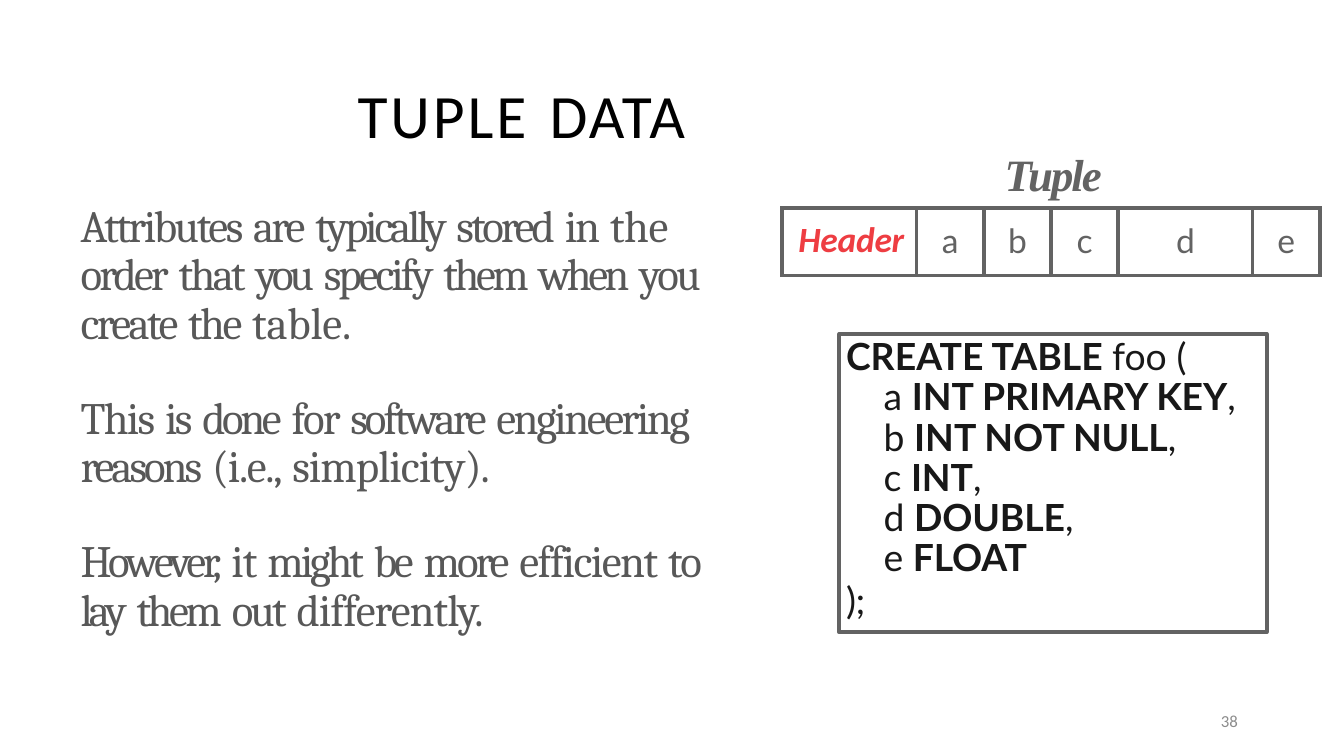
from lxml.etree import SubElement
from pptx import Presentation
from pptx.dml.color import RGBColor
from pptx.enum.shapes import MSO_SHAPE
from pptx.enum.text import MSO_ANCHOR, PP_ALIGN
from pptx.oxml.ns import qn
from pptx.util import Inches, Pt

COLORS = {"title": "000000", "body": "585858", "gray": "636363", "header": "EE3D42",
          "code": "181818", "number": "8C8C8C", "white": "FFFFFF"}
STYLES = {
    "title": {"font": "Calibri", "size": 33, "color": "title"},
    "body": {"font": "Cambria", "size": 24, "color": "body"},
    "caption": {"font": "Times New Roman", "size": 24, "color": "gray", "bold": True, "italic": True},
    "header": {"font": "Calibri", "size": 19, "color": "header", "bold": True, "italic": True},
    "attribute": {"font": "Lato", "size": 18, "color": "gray"},
    "code": {"font": "Lato", "size": 20, "color": "code"},
    "number": {"font": "Calibri", "size": 9, "color": "number"},
}
TITLE = [("TUPLE", 1.6), ("DATA", 1.2)]
BODY = [
    [("Attributes", -1.3), ("are", -1.5), ("typically", -1.7), ("stored", -1.6), ("in", -1.1),
     ("the", -0.2), ("order", -1.5), ("that", -1.4), ("you", -2.2), ("specify", -1.6),
     ("them", -1.8), ("when", -1.9), ("you", -1.4), ("create", -1.4), ("the", -1.3),
     ("table.", -0.1)],
    [("This", -0.9), ("is", -1.4), ("done", -1.8), ("for", -1), ("software", -1.6),
     ("engineering", -1.3), ("reasons", -1.6), ("(i.e.,", -0.7), ("simplicity).", -0.5)],
    [("However,", -1.9), ("it", -0.5), ("might", -1.6), ("be", -1.7), ("more", -1.6),
     ("efficient", -0.8), ("to", -1), ("lay", -2.1), ("them", -1.8), ("out", -1.5),
     ("differently.", -0.5)],
]
COLUMNS = [("a", "INT PRIMARY ", "KEY", ","), ("b", "INT NOT ", "NULL", ","),
           ("c", "", "INT", ","), ("d", "", "DOUBLE", ","), ("e", "", "FLOAT", "")]
TUPLE_CELLS = [("Header", 2), ("a", 1), ("b", 1), ("c", 1), ("d", 2), ("e", 1)]


def grid(*cells):
    """Turn counts of half-inch grid cells into lengths."""
    return [Inches(count * 0.5) for count in cells]


def color(name):
    """Look up a named colour."""
    return RGBColor.from_string(COLORS[name])


def join_words(words, gap=0):
    """Put a space run with its own letter spacing between words."""
    runs = [words[0]]
    for word in words[1:]:
        runs += [(" ", gap), word]
    return runs


def add_run(paragraph, style, text, spacing=0, bold=None):
    """Add one run with its style and letter spacing in points."""
    run = paragraph.add_run()
    run.text = text
    look = STYLES[style]
    run.font.name = look["font"]
    run.font.size = Pt(look["size"])
    run.font.bold = look.get("bold", False) if bold is None else bold
    run.font.italic = look.get("italic", False)
    run.font.color.rgb = color(look["color"])
    run.font._element.set("spc", str(round(spacing * 100)))


def add_paragraph(frame, style, runs, indent=0, leading=None, before=0, align=PP_ALIGN.LEFT):
    """Fill the next paragraph of a frame run by run."""
    first = not frame.paragraphs[0].runs
    paragraph = frame.paragraphs[0] if first else frame.add_paragraph()
    paragraph.alignment = align
    paragraph._p.get_or_add_pPr().set("marL", str(Inches(indent)))
    if leading:
        paragraph.line_spacing = Pt(leading)
    if before and not first:
        paragraph.space_before = Pt(before)
    for run in runs:
        add_run(paragraph, style, *run)


def set_frame(frame, top=0.01, anchor=MSO_ANCHOR.TOP):
    """Set wrapping, insets and anchor of a frame."""
    frame.word_wrap = True
    frame.margin_left = frame.margin_right = frame.margin_bottom = 0
    frame.margin_top = Inches(top)
    frame.vertical_anchor = anchor
    return frame


def add_text(slide, place, **frame_options):
    """Add a text box at a grid place and return its frame."""
    return set_frame(slide.shapes.add_textbox(*grid(*place)).text_frame, **frame_options)


def add_borders(cell):
    """Draw the four borders of a cell."""
    properties = cell._tc.get_or_add_tcPr()
    for position, side in enumerate(("lnL", "lnR", "lnT", "lnB")):
        line = SubElement(properties, qn(f"a:{side}"), w=str(Pt(2.25)))
        fill = SubElement(line, qn("a:solidFill"))
        SubElement(fill, qn("a:srgbClr"), val=COLORS["gray"])
        properties.remove(line)
        properties.insert(position, line)


def add_tuple_table(slide, place):
    """Add the one-row table that shows the layout of a tuple."""
    table = slide.shapes.add_table(1, len(TUPLE_CELLS), *grid(*place)).table
    table.first_row = table.horz_banding = False
    for index, (label, width) in enumerate(TUPLE_CELLS):
        table.columns[index].width = grid(width)[0]
        cell = table.cell(0, index)
        cell.fill.solid()
        cell.fill.fore_color.rgb = color("white")
        add_borders(cell)
        cell.margin_left = cell.margin_right = cell.margin_bottom = 0
        cell.margin_top = Inches(0.09 if index else 0.08)
        if index:
            add_paragraph(cell.text_frame, "attribute", [(label, -0.5)], align=PP_ALIGN.CENTER)
        else:
            add_paragraph(cell.text_frame, "header", [(label, -0.1)], indent=0.12)


def add_code_box(slide, place):
    """Add the framed statement that creates the table."""
    box = slide.shapes.add_shape(MSO_SHAPE.RECTANGLE, *grid(*place))
    box.shadow.inherit = False
    box.fill.solid()
    box.fill.fore_color.rgb = color("white")
    box.line.color.rgb = color("gray")
    box.line.width = Pt(2)
    frame = set_frame(box.text_frame)
    add_paragraph(frame, "code", [("CREATE TABLE ", 0, True), ("foo ", 0), ("(", -0.5)],
                  indent=0.05, leading=22.8)
    for name, kind, last_word, comma in COLUMNS:
        runs = [(f"{name} ", 0), (kind, 0, True), (last_word, -0.1, True), (comma, -0.1)]
        add_paragraph(frame, "code", [run for run in runs if run[0]], indent=0.33, leading=21.6)
    add_paragraph(frame, "code", [(");", -0.2)], indent=0.05, leading=22.8)


def main():
    """Build and save the slide."""
    presentation = Presentation()
    presentation.slide_width, presentation.slide_height = grid(20, 11.25)
    slide = presentation.slides.add_slide(presentation.slide_layouts[6])

    title = add_text(slide, (1.38, 0.6, 17.24, 2.18), anchor=MSO_ANCHOR.MIDDLE)
    add_paragraph(title, "title", join_words(TITLE, gap=3.2), indent=1.97)
    body = add_text(slide, (1.18, 2.9, 9.92, 6.56), top=0.06)
    for words in BODY:
        add_paragraph(body, "body", join_words(words), indent=0.01, leading=25.9, before=25.1)
    caption = add_text(slide, (14.93, 2.16, 1.48, 0.86))
    add_paragraph(caption, "caption", [("Tuple", -1.1)], indent=0.01)
    add_tuple_table(slide, (11.64, 3.1, 8, 1))
    add_code_box(slide, (12.49, 4.97, 6.36, 4.44))
    number = add_text(slide, (14.12, 10.42, 4.3, 0.6), anchor=MSO_ANCHOR.MIDDLE)
    add_paragraph(number, "number", [("38",)], align=PP_ALIGN.RIGHT)
    presentation.save("out.pptx")


if __name__ == "__main__":
    main()
